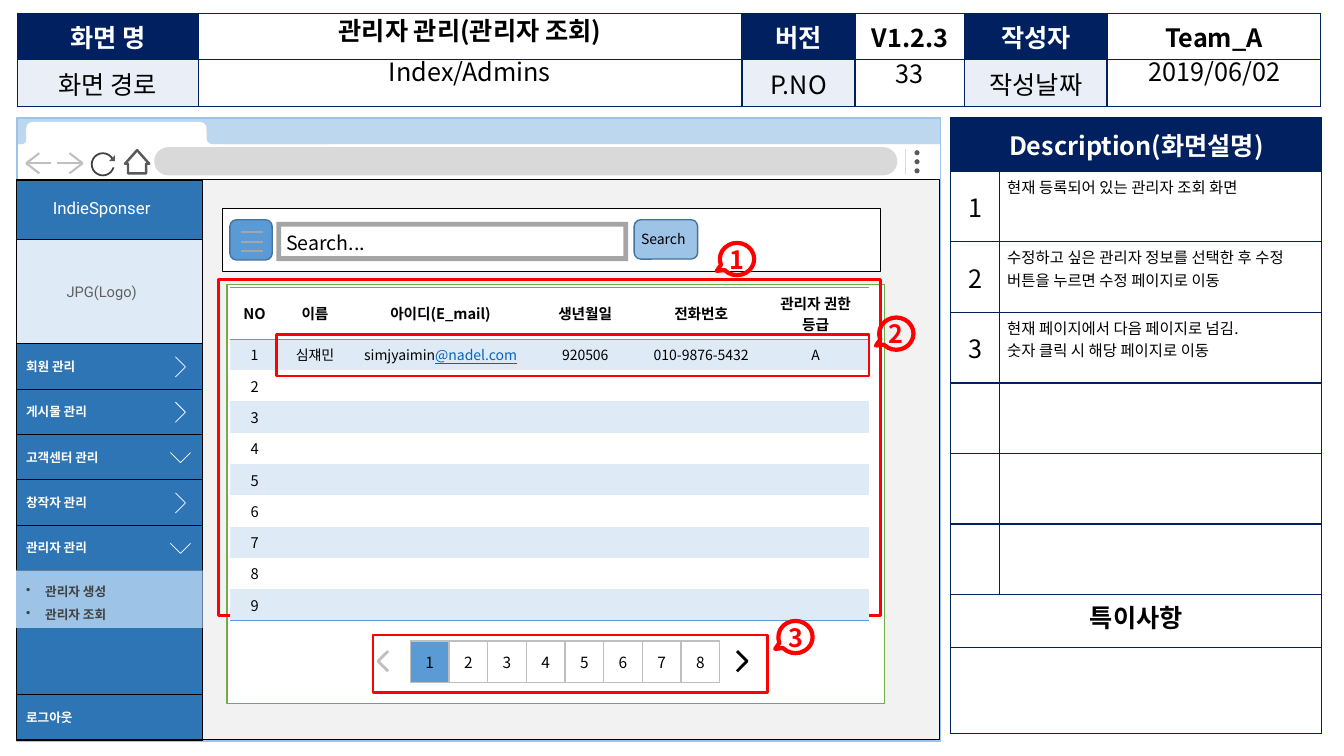
from lxml.etree import SubElement
from pptx import Presentation
from pptx.dml.color import RGBColor
from pptx.enum.shapes import MSO_CONNECTOR, MSO_SHAPE
from pptx.enum.text import MSO_ANCHOR, MSO_AUTO_SIZE, PP_ALIGN
from pptx.oxml.ns import qn
from pptx.util import Cm, Pt

FONT = "Noto Sans CJK KR"
NAVY, BLUE, MENU, PALE, RED = "002060", "5B9BD5", "2E75B6", "DEEBF7", "FF0000"
WHITE, BLACK = "FFFFFF", "000000"
LEFT, CENTER = PP_ALIGN.LEFT, PP_ALIGN.CENTER
TOP, MIDDLE = MSO_ANCHOR.TOP, MSO_ANCHOR.MIDDLE

TITLE = "관리자 관리(관리자 조회)"
HEADER = [["화면 명", "", "버전", "V1.2.3", "작성자", "Team_A"],
          ["화면 경로", "", "P.NO", "", "작성날짜", ""]]
DESCRIPTIONS = ["현재 등록되어 있는 관리자 조회 화면",
                "수정하고 싶은 관리자 정보를 선택한 후 수정 버튼을 누르면 수정 페이지로 이동",
                "현재 페이지에서 다음 페이지로 넘김.\n숫자 클릭 시 해당 페이지로 이동"]
MENU_ITEMS = [("회원 관리", "right"), ("게시물 관리", "right"), ("고객센터 관리", "down"),
              ("창작자 관리", "right"), ("관리자 관리", "down")]
SUBMENU = "관리자 생성\n관리자 조회"
ADMIN_HEAD = ["NO", "이름", "아이디(E_mail)", "생년월일", "전화번호", "관리자 권한 등급"]
ADMIN_ROW = ["1", "심쟤민", "simjyaimin", "920506", "010-9876-5432", "A"]
MAIL_DOMAIN = "@nadel.com"
CALLOUTS = [(7.14, 2.41), (8.72, 3.15), (7.72, 6.16)]

# Browser frame: preset, box, fill, line, adjustments
BROWSER = [
    (MSO_SHAPE.RECTANGLE, (0.17, 1.42, 9.16, 0.37), WHITE, (BLACK, 0.5), ()),
    (MSO_SHAPE.ROUNDED_RECTANGLE, (1.53, 1.46, 7.37, 0.28), "D9D9D9", None, (0.5,)),
    *[(MSO_SHAPE.OVAL, (9.07, 1.49 + 0.09 * i, 0.05, 0.05), "595959", None, ()) for i in range(3)],
    (MSO_SHAPE.RECTANGLE, (0.17, 1.17, 9.16, 0.26), "BDD7EE", None, ()),
    (MSO_SHAPE.OVAL, (0.91, 1.52, 0.22, 0.22), None, ("404040", 1.25), ()),
    (MSO_SHAPE.RECTANGLE, (1.09, 1.58, 0.08, 0.08), WHITE, None, ()),
    (MSO_SHAPE.ISOSCELES_TRIANGLE, (1.08, 1.54, 0.06, 0.06), "595959", None, (1,)),
    (MSO_SHAPE.UP_ARROW, (1.24, 1.49, 0.24, 0.23), WHITE, ("595959", 1.75), (0.75, 0.586)),
    (MSO_SHAPE.ROUNDED_RECTANGLE, (0.26, 1.21, 1.79, 0.23), WHITE, None, (0.276,)),
    (MSO_SHAPE.ROUNDED_RECTANGLE, (1.88, 1.3, 0.34, 0.15), WHITE, None, (0.167,)),
    (MSO_SHAPE.ROUNDED_RECTANGLE, (2.05, 1.23, 1.27, 0.2), "BDD7EE", None, (0.276,)),
    (MSO_SHAPE.ROUNDED_RECTANGLE, (0.21, 1.3, 0.13, 0.15), WHITE, None, (0.167,)),
    (MSO_SHAPE.ROUNDED_RECTANGLE, (0.17, 1.23, 0.09, 0.2), "BDD7EE", None, (0.462,)),
    (MSO_SHAPE.RECTANGLE, (0.17, 1.17, 9.16, 6.18), None, ("9DC3E6", 1), ()),
]


def size(inches):
    return Cm(inches * 2.54)


def color(value):
    return RGBColor.from_string(value)


def paint(shape, fill, line):
    shape.shadow.inherit = False
    if fill:
        shape.fill.solid()
        shape.fill.fore_color.rgb = color(fill)
    else:
        shape.fill.background()
    if line:
        shape.line.color.rgb = color(line[0])
        shape.line.width = Pt(line[1])
    else:
        shape.line.fill.background()


def write(frame, text, points, ink=BLACK, bold=False, align=CENTER, font=FONT, spacing=None):
    frame.text = text
    for paragraph in frame.paragraphs:
        paragraph.alignment = align
        if spacing:
            paragraph.line_spacing = spacing
        paragraph.font.size = Pt(points)
        paragraph.font.bold = bold
        paragraph.font.color.rgb = color(ink)
        paragraph.font.name = font
        SubElement(paragraph.font._element, qn("a:ea"), typeface=FONT)


def set_frame(frame, anchor, insets=(0.1, 0.05, 0.1, 0.05)):
    frame.word_wrap = True
    frame.auto_size = MSO_AUTO_SIZE.NONE
    frame.vertical_anchor = anchor
    (frame.margin_left, frame.margin_top,
     frame.margin_right, frame.margin_bottom) = map(size, insets)


def add_box(box, fill=None, line=None, preset=MSO_SHAPE.RECTANGLE, adjustments=()):
    shape = slide.shapes.add_shape(preset, *map(size, box))
    for index, value in enumerate(adjustments):
        shape.adjustments[index] = value
    paint(shape, fill, line)
    return shape


def add_text(box, text, points, anchor=TOP, **style):
    frame = slide.shapes.add_textbox(*map(size, box)).text_frame
    set_frame(frame, anchor)
    write(frame, text, points, **style)


def add_line(x1, y1, x2, y2, ink, width):
    line = slide.shapes.add_connector(MSO_CONNECTOR.STRAIGHT, *map(size, (x1, y1, x2, y2)))
    line.line.color.rgb = color(ink)
    line.line.width = Pt(width)
    SubElement(line._element.spPr, qn("a:effectLst"))


def add_chevron(x, y, direction, ink, width):
    dx, dy = {"right": (1, 0), "left": (-1, 0), "down": (0, 1)}[direction]
    points = [(size(x - 0.05 * dx + side * dy), size(y - 0.05 * dy + side * dx))
              for side in (-0.1, 0.1)]
    builder = slide.shapes.build_freeform(*points[0])
    builder.add_line_segments([(size(x + 0.05 * dx), size(y + 0.05 * dy)), points[1]], close=False)
    paint(builder.convert_to_shape(), None, (ink, width))


def add_grid(left, top, columns, rows):
    """Add a table without any built-in style."""
    frame = slide.shapes.add_table(len(rows), len(columns), size(left), size(top),
                                   size(sum(columns)), size(sum(rows)))
    table = frame.table
    table.first_row = table.horz_banding = False
    table._tbl.tblPr.find(qn("a:tableStyleId")).text = "{2D5ABB26-0587-4C30-8999-92F81FD0307C}"
    for column, width in zip(table.columns, columns):
        column.width = size(width)
    for row, height in zip(table.rows, rows):
        row.height = size(height)
    return table


def set_cell(cell, text, points, fill=None, border=None, sides="LRTB", anchor=MIDDLE,
             insets=(0.1, 0.05), **style):
    for side in sides if border else "":
        line = SubElement(cell._tc.get_or_add_tcPr(), qn("a:ln" + side), w="12700")
        SubElement(SubElement(line, qn("a:solidFill")), qn("a:srgbClr"), val=border)
    if fill:
        cell.fill.solid()
        cell.fill.fore_color.rgb = color(fill)
    else:
        cell.fill.background()
    cell.vertical_anchor = anchor
    cell.margin_left = cell.margin_right = size(insets[0])
    cell.margin_top = cell.margin_bottom = size(insets[1])
    write(cell.text_frame, text, points, **style)


presentation = Presentation()
presentation.slide_width, presentation.slide_height = size(13.33), size(7.5)
slide = presentation.slides.add_slide(presentation.slide_layouts[5])

# Browser frame
for preset, box, fill, line, adjustments in BROWSER:
    add_box(box, fill, line, preset, adjustments)
add_line(8.98, 1.48, 8.98, 1.73, "D9D9D9", 1)
for tip, step in ((0.26, 1), (0.82, -1)):
    for reach, rise in ((0.25, 0), (0.13, -0.1), (0.13, 0.1)):
        add_line(tip, 1.62, tip + step * reach, 1.62 + rise, "BFBFBF", 1.5)

# Page header
header = add_grid(0.17, 0.13, [1.8, 5.39, 1.12, 1.09, 1.41, 2.12], [0.46, 0.46])
for r, texts in enumerate(HEADER):
    for c, text in enumerate(texts):
        label_fill = "EAEFF7" if r else NAVY
        set_cell(header.cell(r, c), text, 18, WHITE if c % 2 else label_fill, NAVY,
                 bold=r == 0, ink=BLACK if r or c % 2 else WHITE)
title = slide.shapes.title
title.left, title.top, title.width, title.height = map(size, (1.97, 0.14, 5.38, 0.38))
set_frame(title.text_frame, TOP)
write(title.text_frame, TITLE, 18, bold=True, spacing=0.9)
title._element.getparent().append(title._element)
add_text((1.97, 0.54, 5.38, 0.38), "Index/Admins", 18, spacing=0.9)
add_text((10.99, 0.54, 2.11, 0.38), "2019/06/02", 18, spacing=0.9)
add_text((8.48, 0.54, 1.08, 0.38), "33", 18, MIDDLE)

# Sidebar
add_box((0.16, 1.78, 9.16, 5.56), "F2F2F2", (BLACK, 0.5))
sidebar = [(1.79, 5.56, MENU, "IndieSponser", 12, WHITE, False, CENTER),
           (2.38, 1.03, PALE, "JPG(Logo)", 10.5, "5F5F5F", False, CENTER)]
sidebar += [(3.41 + 0.45 * i, 0.45, MENU, text, 9, WHITE, True, LEFT)
            for i, (text, _) in enumerate(MENU_ITEMS)]
sidebar += [(6.89, 0.45, MENU, "로그아웃", 9, WHITE, True, LEFT),
            (5.66, 0.57, "9DC3E6", SUBMENU, 9, "404040", True, LEFT)]
for top, height, fill, text, points, ink, bold, align in sidebar:
    submenu = text == SUBMENU
    shape = add_box((0.16, top, 1.85, height), fill, None if submenu else (BLACK, 0.5))
    full_height = height > 5
    set_frame(shape.text_frame, TOP if full_height else MIDDLE,
              (0.1, 0.17 if full_height else 0.05, 0.25, 0.05))
    write(shape.text_frame, text, points, ink, bold, align, "Roboto", 1.5 if submenu else None)
    for paragraph in shape.text_frame.paragraphs if submenu else ():
        properties = paragraph._p.get_or_add_pPr()
        properties.set("marL", str(size(0.19)))
        properties.set("indent", str(-size(0.19)))
        bullet = properties.makeelement(qn("a:buChar"), {"char": "•"})
        properties.find(qn("a:defRPr")).addprevious(bullet)
for i, (_, direction) in enumerate(MENU_ITEMS):
    add_chevron(1.79, 3.64 + 0.45 * i, direction, WHITE, 0.5)

# Description panel
panel = add_grid(9.43, 1.17, [0.48, 3.2], [0.53] + [0.7] * 6 + [0.53, 0.85])
merged = {0: "Description(화면설명)", 7: "특이사항", 8: ""}
for r in range(9):
    if r in merged:
        panel.cell(r, 0).merge(panel.cell(r, 1))
    number = str(r) if r <= len(DESCRIPTIONS) else ""
    note = DESCRIPTIONS[r - 1] if 0 < r <= len(DESCRIPTIONS) else ""
    set_cell(panel.cell(r, 0), merged.get(r, number), 18, None if r else NAVY, NAVY,
             anchor=TOP if r == 7 else MIDDLE, insets=(0.08, 0.04),
             ink=BLACK if r else WHITE, bold=r in merged)
    set_cell(panel.cell(r, 1), note, 11, border=NAVY, anchor=TOP, insets=(0.08, 0.04), align=LEFT)

# Search bar
add_box((2.21, 2.07, 6.52, 0.62), WHITE, (BLACK, 0.5))
add_box((2.28, 2.18, 0.42, 0.4), BLUE, ("43739E", 1), MSO_SHAPE.ROUNDED_RECTANGLE)
for y in (2.3, 2.4, 2.49):
    add_line(2.39, y, 2.61, y, "A5A5A5", 1.5)
add_box((2.74, 2.2, 3.49, 0.39), "A5A5A5", None, MSO_SHAPE.FRAME, (0.125,))
add_text((2.74, 2.24, 1.11, 0.34), "Search...", 14, align=LEFT)
add_box((6.29, 2.18, 0.63, 0.39), "9DC3E6", ("43739E", 1), MSO_SHAPE.ROUNDED_RECTANGLE)
add_text((6.26, 2.24, 0.76, 0.27), "Search", 10, align=LEFT)

# Administrator list
add_box((2.25, 2.82, 6.52, 4.16), WHITE, ("70AD47", 1))
add_box((2.17, 2.77, 6.56, 3.34), None, (RED, 2))
admins = add_grid(2.28, 2.85, [0.49, 0.71, 1.78, 1.09, 1.21, 1.06], [0.5] + [0.3] * 9)
admin_rows = [ADMIN_HEAD, ADMIN_ROW] + [[str(n)] + [""] * 5 for n in range(2, 10)]
for r, texts in enumerate(admin_rows):
    for c, text in enumerate(texts):
        set_cell(admins.cell(r, c), text, 10 if r == 1 else 10.5, PALE if r % 2 else None,
                 BLUE if r in (0, 9) else None, "B" if r else "TB", bold=r == 0)
domain = admins.cell(1, 2).text_frame.paragraphs[0].add_run()
domain.text = MAIL_DOMAIN
domain.font.underline = True
domain.font.color.rgb = color("0563C1")

# Page numbers
pages = add_grid(4.07, 6.36, [3.07 / 8] * 8, [0.41])
for c in range(8):
    set_cell(pages.cell(0, c), str(c + 1), 11, WHITE if c else BLUE, "BFBFBF")
add_chevron(7.36, 6.56, "right", BLACK, 2)
add_chevron(3.8, 6.56, "left", "BFBFBF", 2)

# Red marks
add_box((3.7, 6.3, 3.91, 0.57), None, (RED, 2))
add_box((2.74, 3.32, 5.88, 0.41), None, (RED, 2))
for number, (left, top) in enumerate(CALLOUTS, 1):
    callout = add_box((left, top, 0.34, 0.32), None, (RED, 3),
                      MSO_SHAPE.OVAL_CALLOUT, (-0.593, 0.369))
    set_frame(callout.text_frame, MIDDLE, (0, 0, 0, 0))
    write(callout.text_frame, str(number), 18, RED, True)

presentation.save("out.pptx")
